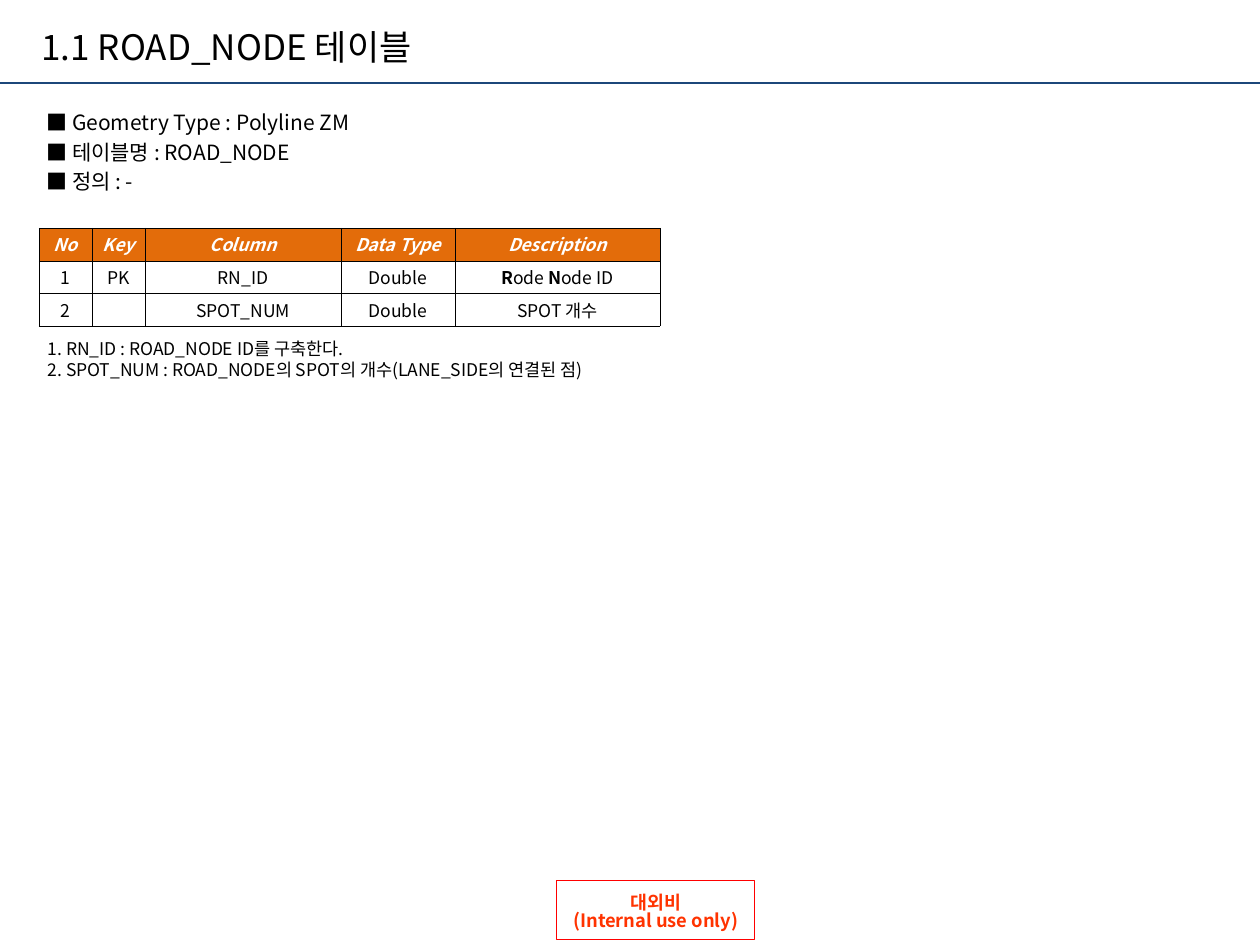
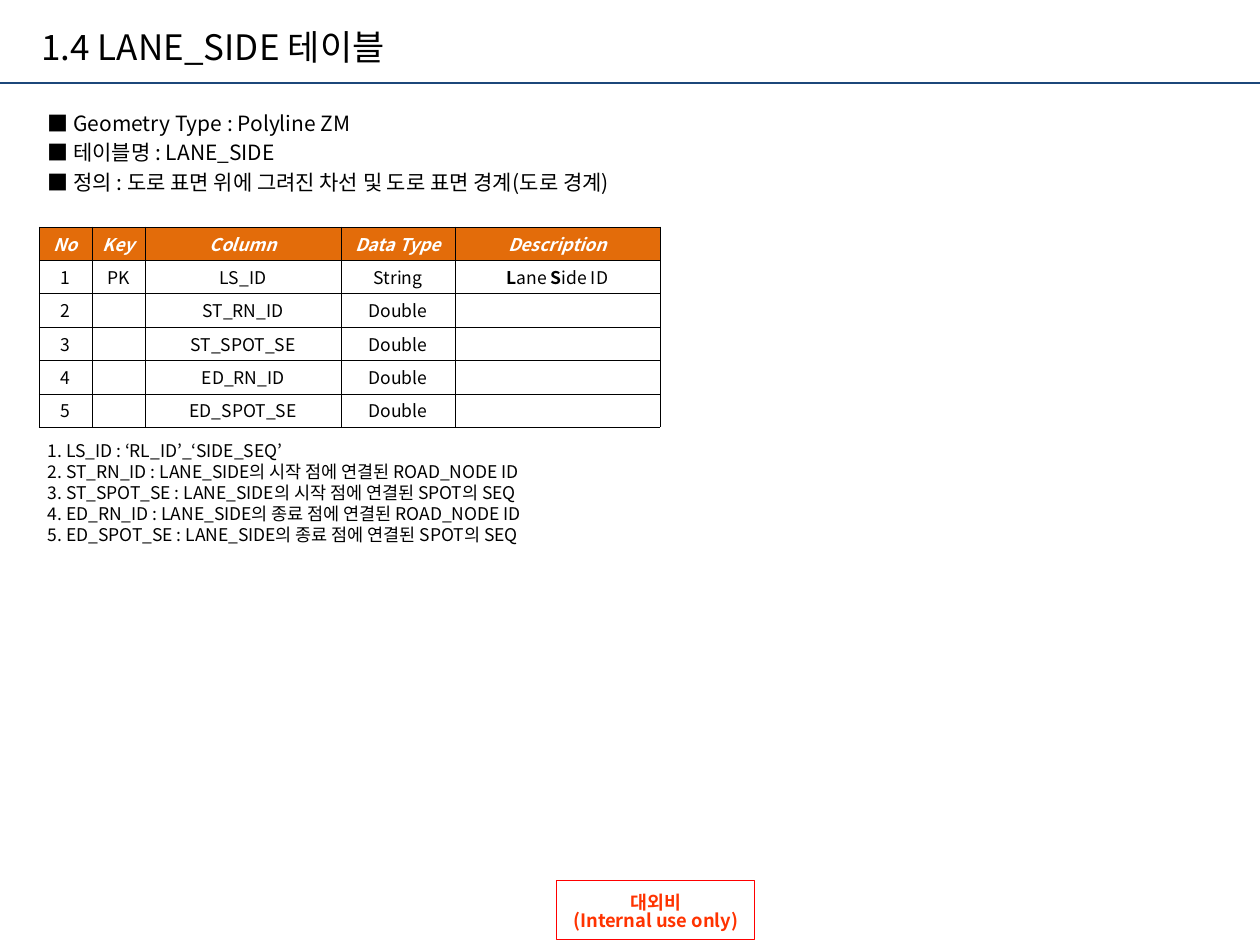
"""Build the table definition slides for the road node and lane side data."""
from dataclasses import dataclass

from lxml.etree import SubElement
from pptx import Presentation
from pptx.dml.color import RGBColor
from pptx.enum.shapes import MSO_CONNECTOR as Connector, MSO_SHAPE as Shape
from pptx.enum.text import MSO_ANCHOR as Anchor, MSO_AUTO_SIZE as AutoSize, PP_ALIGN as Align
from pptx.oxml.ns import qn
from pptx.util import Inches, Pt

FONT = "Noto Sans CJK KR"
BLACK, WHITE = "000000", "FFFFFF"
RULE_BLUE, HEADER_ORANGE = "1C477A", "E36C0A"
STAMP_LINE, STAMP_TEXT = "FF0000", "FF3300"
HEADINGS = ("No", "Key", "Column", "Data Type", "Description")
COLUMN_WIDTHS = (0.42, 0.42, 1.56, 0.9, 1.63)
BOLD_MARK = "*"


@dataclass(frozen=True)
class Box:
    """A position and size in inches."""
    left: float
    top: float
    width: float
    height: float

    def lengths(self) -> tuple:
        """Return the four values as lengths."""
        return tuple(map(Inches, (self.left, self.top, self.width, self.height)))


@dataclass(frozen=True)
class Style:
    """The look of a piece of text."""
    size: float
    color: str = BLACK
    bold: bool = False
    italic: bool = False


@dataclass(frozen=True)
class TableSpec:
    """The content of one slide; each field is key, column, type and description."""
    number: str
    name: str
    definition: str
    fields: tuple
    remarks: tuple
    facts_box: Box
    table_top: float
    row_height: float
    remarks_box: Box
    remarks_hanging: float = 0


TITLE = Style(20)
FACT = Style(12)
BODY = Style(10)
HEADER = Style(10, WHITE, bold=True, italic=True)
STAMP = Style(10.5, STAMP_TEXT, bold=True)

SPECS = (
    TableSpec(
        "1.1", "ROAD_NODE", "-",
        (("PK", "RN_ID", "Double", "*R*ode *N*ode ID"),
         ("", "SPOT_NUM", "Double", "SPOT 개수")),
        ("RN_ID : ROAD_NODE ID를 구축한다.",
         "SPOT_NUM : ROAD_NODE의 SPOT의 개수(LANE_SIDE의 연결된 점)"),
        Box(0.27, 0.83, 6.68, 0.75), 1.81, 0.26, Box(0.28, 2.63, 5.97, 0.44)),
    TableSpec(
        "1.4", "LANE_SIDE", "도로 표면 위에 그려진 차선 및 도로 표면 경계(도로 경계)",
        (("PK", "LS_ID", "String", "*L*ane *S*ide ID"),
         ("", "ST_RN_ID", "Double", ""),
         ("", "ST_SPOT_SE", "Double", ""),
         ("", "ED_RN_ID", "Double", ""),
         ("", "ED_SPOT_SE", "Double", "")),
        ("LS_ID : ‘RL_ID’_‘SIDE_SEQ’",
         "ST_RN_ID : LANE_SIDE의 시작 점에 연결된 ROAD_NODE ID",
         "ST_SPOT_SE : LANE_SIDE의 시작 점에 연결된 SPOT의 SEQ",
         "ED_RN_ID : LANE_SIDE의 종료 점에 연결된 ROAD_NODE ID",
         "ED_SPOT_SE : LANE_SIDE의 종료 점에 연결된 SPOT의 SEQ"),
        Box(0.28, 0.82, 5.35, 0.78), 1.8, 0.265, Box(0.28, 3.44, 4.25, 0.94), 0.25),
)


def rgb(value: str) -> RGBColor:
    """Turn a hex string into a colour."""
    return RGBColor.from_string(value)


def format_run(run, style: Style, bold: bool) -> None:
    """Apply a style to a run, for Latin and Korean text alike."""
    font = run.font
    font.name, font.size = FONT, Pt(style.size)
    font.bold, font.italic = bold, style.italic
    font.color.rgb = rgb(style.color)
    SubElement(font._element, qn("a:ea"), typeface=FONT)


def write_lines(frame, lines: tuple, style: Style, hanging: float = 0,
                space: float = 0, align: Align = Align.LEFT) -> None:
    """Write one paragraph a line; space before is a share of the text size."""
    frame.text = "\n".join(lines)
    for paragraph in frame.paragraphs:
        paragraph.alignment = align
        paragraph.space_before = Pt(style.size * space)
        if hanging:
            properties = paragraph._p.get_or_add_pPr()
            properties.set("marL", str(Inches(hanging)))
            properties.set("indent", str(-Inches(hanging)))
        for run in paragraph.runs:
            format_run(run, style, style.bold)


def add_text(slide, box: Box, lines: tuple, style: Style, hanging: float,
             space: float = 0, anchor: Anchor = Anchor.MIDDLE):
    """Add a wrapping text box and return its frame."""
    frame = slide.shapes.add_textbox(*box.lengths()).text_frame
    frame.word_wrap = True
    frame.vertical_anchor = anchor
    write_lines(frame, lines, style, hanging, space)
    return frame


def add_frame(slide) -> None:
    """Draw the rule under the title and the confidentiality stamp."""
    rule = slide.shapes.add_connector(
        Connector.STRAIGHT, 0, Inches(0.66), Inches(10), Inches(0.66))
    rule.line.color.rgb, rule.line.width = rgb(RULE_BLUE), Pt(1)
    SubElement(rule._element.spPr, qn("a:effectLst"))

    stamp = slide.shapes.add_shape(Shape.RECTANGLE, *Box(4.42, 6.99, 1.57, 0.47).lengths())
    stamp.shadow.inherit = False
    stamp.fill.solid()
    stamp.fill.fore_color.rgb = rgb(WHITE)
    stamp.line.color.rgb, stamp.line.width = rgb(STAMP_LINE), Pt(0.5)
    frame = stamp.text_frame
    frame.word_wrap = False
    frame.vertical_anchor = Anchor.MIDDLE
    frame.margin_left = frame.margin_right = Inches(0.12)
    frame.margin_top, frame.margin_bottom = Inches(0.14), Inches(0.06)
    write_lines(frame, ("대외비", "(Internal use only)"), STAMP, space=0.5, align=Align.CENTER)
    for paragraph in frame.paragraphs:
        paragraph.line_spacing = 0.4


def add_borders(cell) -> None:
    """Give a cell thin black lines on all four sides."""
    properties = cell._tc.get_or_add_tcPr()
    for side in ("lnL", "lnR", "lnT", "lnB"):
        edge = SubElement(properties, qn(f"a:{side}"), w=str(Pt(0.25)))
        SubElement(SubElement(edge, qn("a:solidFill")), qn("a:srgbClr"), val=BLACK)


def fill_cell(cell, text: str, style: Style) -> None:
    """Write a centred cell; text between marks is bold."""
    cell.vertical_anchor = Anchor.MIDDLE
    cell.margin_left = cell.margin_right = Inches(0.02)
    cell.margin_top = cell.margin_bottom = 0
    paragraph = cell.text_frame.paragraphs[0]
    paragraph.alignment = Align.CENTER
    for index, part in enumerate(text.split(BOLD_MARK)):
        if part:
            run = paragraph.add_run()
            run.text = part
            format_run(run, style, style.bold or index % 2 == 1)
    if not text:
        SubElement(paragraph._p, qn("a:endParaRPr"), sz=str(style.size * 100))
    add_borders(cell)
    if style is HEADER:
        cell.fill.solid()
        cell.fill.fore_color.rgb = rgb(HEADER_ORANGE)
    else:
        cell.fill.background()


def add_field_table(slide, spec: TableSpec) -> None:
    """Add the table of fields under its header row."""
    rows = [HEADINGS] + [(str(n), *field) for n, field in enumerate(spec.fields, 1)]
    box = Box(0.31, spec.table_top, sum(COLUMN_WIDTHS), spec.row_height * len(rows))
    table = slide.shapes.add_table(len(rows), len(HEADINGS), *box.lengths()).table
    table.first_row = table.horz_banding = False
    for column, width in zip(table.columns, COLUMN_WIDTHS):
        column.width = Inches(width)
    for row, texts in enumerate(rows):
        table.rows[row].height = Inches(spec.row_height)
        for column, text in enumerate(texts):
            fill_cell(table.cell(row, column), text, BODY if row else HEADER)


def add_spec_slide(deck, spec: TableSpec) -> None:
    """Add the slide that describes one table."""
    slide = deck.slides.add_slide(deck.slide_layouts[6])
    add_frame(slide)
    add_text(slide, Box(0.23, 0.11, 6.88, 0.52), (f"{spec.number} {spec.name} 테이블",),
             TITLE, 0.38, 0.2)
    facts = ("Geometry Type : Polyline ZM", f"테이블명 : {spec.name}", f"정의 : {spec.definition}")
    add_text(slide, spec.facts_box, tuple(f"■ {fact}" for fact in facts), FACT, 0.38, 0.2)
    add_field_table(slide, spec)
    remarks = tuple(f"{n}. {remark}" for n, remark in enumerate(spec.remarks, 1))
    frame = add_text(slide, spec.remarks_box, remarks, BODY, spec.remarks_hanging,
                     anchor=Anchor.TOP)
    frame.auto_size = AutoSize.SHAPE_TO_FIT_TEXT


def main() -> None:
    """Build and save the deck."""
    deck = Presentation()
    deck.slide_width, deck.slide_height = Inches(10), Inches(7.5)
    for spec in SPECS:
        add_spec_slide(deck, spec)
    deck.save("out.pptx")


main()
